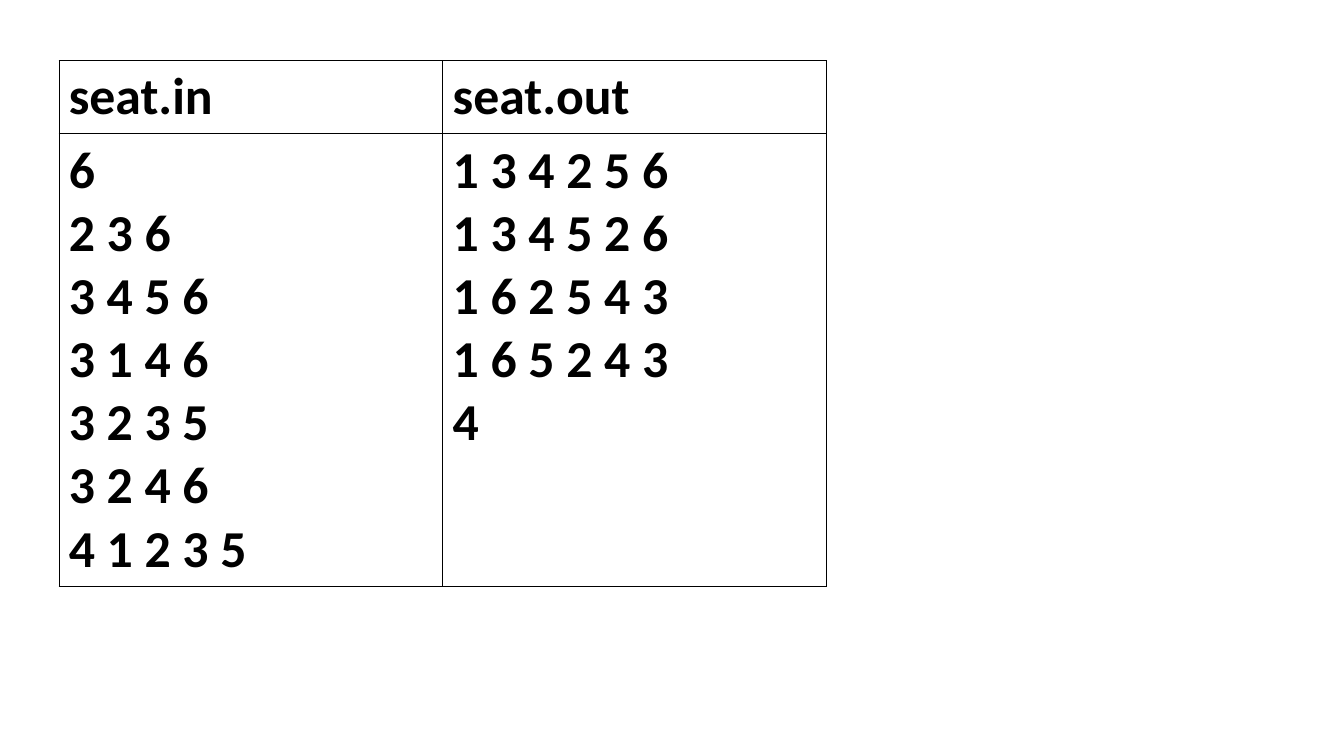
from pptx import Presentation
from pptx.dml.color import RGBColor
from pptx.enum import text
from pptx.oxml import parse_xml
from pptx.oxml.ns import nsdecls
from pptx.util import Pt

SAMPLES = {
    "seat.in": ["6", "2 3 6", "3 4 5 6", "3 1 4 6", "3 2 3 5", "3 2 4 6", "4 1 2 3 5"],
    "seat.out": ["1 3 4 2 5 6", "1 3 4 5 2 6", "1 6 2 5 4 3", "1 6 5 2 4 3", "4"],
}

BLACK = RGBColor(0, 0, 0)
WHITE = RGBColor(255, 255, 255)
FONT = "Calibri"
FONT_SIZE = 37
BORDER = 0.45
SLIDE_WIDTH, SLIDE_HEIGHT = 960.5, 540
LEFT, TOP = 42, 43.2
COLUMN_WIDTH = 274.3
ROW_HEIGHTS = [52.3, 323.5]


def add_borders(cell):
    properties = cell._tc.get_or_add_tcPr()
    for index, side in enumerate(("lnL", "lnR", "lnT", "lnB")):
        properties.insert(index, parse_xml(
            f'<a:{side} {nsdecls("a")} w="{Pt(BORDER)}"><a:solidFill>'
            f'<a:srgbClr val="{BLACK}"/></a:solidFill></a:{side}>'))


def fill_cell(cell, lines):
    cell.fill.solid()
    cell.fill.fore_color.rgb = WHITE
    add_borders(cell)
    cell.text_frame.text = "\n".join(lines)
    for paragraph in cell.text_frame.paragraphs:
        paragraph.alignment = text.PP_ALIGN.JUSTIFY
        for run in paragraph.runs:
            run.font.name = FONT
            run.font.size = Pt(FONT_SIZE)
            run.font.bold = True
            run.font.color.rgb = BLACK


def main():
    deck = Presentation()
    deck.slide_width, deck.slide_height = Pt(SLIDE_WIDTH), Pt(SLIDE_HEIGHT)
    slide = deck.slides.add_slide(deck.slide_layouts.get_by_name("Blank"))

    samples = slide.shapes.add_table(
        len(ROW_HEIGHTS), len(SAMPLES), Pt(LEFT), Pt(TOP),
        Pt(COLUMN_WIDTH * len(SAMPLES)), Pt(sum(ROW_HEIGHTS))).table
    samples.horz_banding = False
    samples.first_row = False
    for row, height in zip(samples.rows, ROW_HEIGHTS):
        row.height = Pt(height)
    for column, (file_name, lines) in enumerate(SAMPLES.items()):
        samples.columns[column].width = Pt(COLUMN_WIDTH)
        fill_cell(samples.cell(0, column), [file_name])
        fill_cell(samples.cell(1, column), lines)

    deck.save("out.pptx")


if __name__ == "__main__":
    main()
